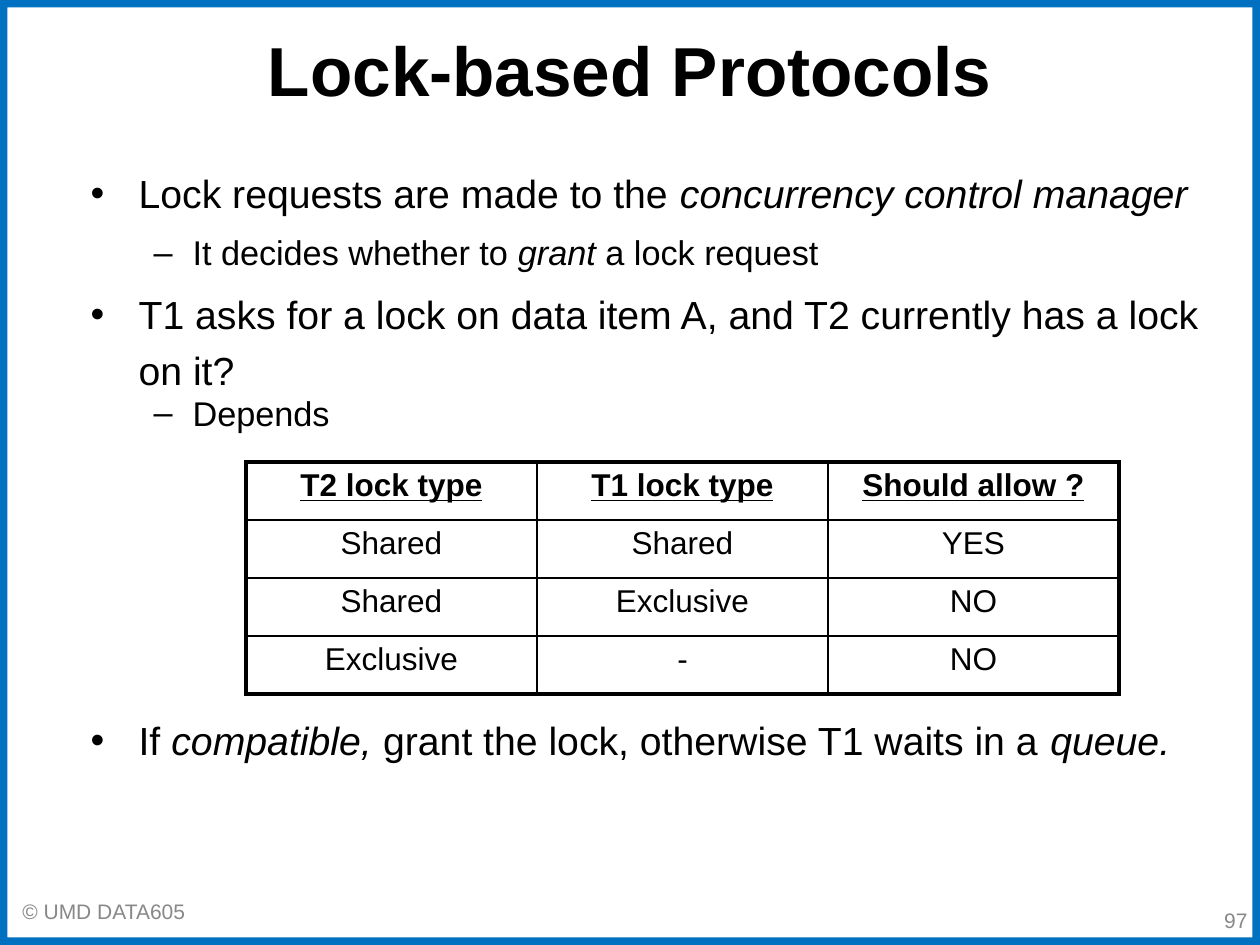
from lxml import etree
from pptx import Presentation
from pptx.dml.color import RGBColor
from pptx.enum.shapes import MSO_SHAPE
from pptx.enum.text import MSO_ANCHOR, MSO_AUTO_SIZE, PP_ALIGN
from pptx.oxml.ns import qn
from pptx.util import Emu, Pt

FRAME = MSO_SHAPE.FRAME
TOP, MID = MSO_ANCHOR.TOP, MSO_ANCHOR.MIDDLE
LEFT, MIDST, RIGHT = PP_ALIGN.LEFT, PP_ALIGN.CENTER, PP_ALIGN.RIGHT
FIXED = MSO_AUTO_SIZE.NONE
BLACK = RGBColor(0, 0, 0)
GRAY = RGBColor(0x88, 0x88, 0x88)
BLUE = RGBColor(0, 0x70, 0xC0)
SCALE = 914400 / 126
THIN, THICK = 1, 2.25
LEVELS = [
    {"size": 22.4, "mark": "•", "left": 48, "hang": 48},
    {"size": 19.6, "mark": "–", "left": 102, "hang": 39},
]
ITEMS = [
    (0, 1.2, 0, [("Lock requests are made to the ", False),
                 ("concurrency control manager", True)]),
    (1, 1.2, 3.9, [("It decides whether to ", False), ("grant ", True),
                   ("a lock request", False)]),
    (0, 1.2, 4.5, [("T1 asks for a lock on data item A, and T2 currently "
                    "has a lock on it?", False)]),
    (1, 0.8, 3.9, [("Depends", False)]),
    (0, 0.8, 167, [("If ", False), ("compatible, ", True),
                   ("grant the lock, otherwise T1 waits in a ", False),
                   ("queue.", True)]),
]
ROWS = [
    ["T2 lock type", "T1 lock type", "Should allow ?"],
    ["Shared", "Shared", "YES"],
    ["Shared", "Exclusive", "NO"],
    ["Exclusive", "-", "NO"],
]


def px(num):
    """Turn px into EMU."""
    return Emu(round(num * SCALE))


def apply(item, vals):
    """Set each named value on an object."""
    for name, val in vals.items():
        setattr(item, name, val)


def style(font, size, color, **more):
    """Format a font."""
    apply(font, {"name": "Arial", "size": Pt(size), **more})
    font.color.rgb = color


def place(shape, box):
    """Move and size a shape in px."""
    apply(shape, dict(zip(("left", "top", "width", "height"), map(px, box))))


def write(shape, text, align, size, color, **more):
    """Fill a shape with one line of text."""
    frame = shape.text_frame
    apply(frame, {"word_wrap": True, "auto_size": FIXED,
                  "vertical_anchor": MID})
    para = frame.paragraphs[0]
    para.text, para.alignment = text, align
    style(para.runs[0].font, size, color, **more)


def add_frame(slide, box):
    """Draw the border round the slide."""
    shape = slide.shapes.add_shape(FRAME, *map(px, box))
    shape.adjustments[0] = 0.008
    shape.shadow.inherit = False
    shape.fill.solid()
    shape.fill.fore_color.rgb = BLUE
    shape.line.fill.background()


def add_note(slide, box, text, align):
    """Add a small gray line of text."""
    shape = slide.shapes.add_textbox(*map(px, box))
    write(shape, text, align, 12, GRAY)


def set_mark(para, form):
    """Give a paragraph its bullet and indent."""
    props = para._p.get_or_add_pPr()
    props.set("marL", str(px(form["left"])))
    props.set("indent", str(-px(form["hang"])))
    tint = etree.SubElement(props, qn("a:buClr"))
    etree.SubElement(tint, qn("a:srgbClr"), val=str(BLACK))
    etree.SubElement(props, qn("a:buFont"), typeface="Arial")
    etree.SubElement(props, qn("a:buChar"), char=form["mark"])


def fill_list(shape, items):
    """Write the bullet list into the body."""
    frame = shape.text_frame
    apply(frame, {"word_wrap": True, "auto_size": FIXED,
                  "vertical_anchor": TOP})
    for num, (level, line, gap, runs) in enumerate(items):
        para = frame.add_paragraph() if num else frame.paragraphs[0]
        form = LEVELS[level]
        set_mark(para, form)
        apply(para, {"level": level, "alignment": LEFT, "line_spacing": line,
                     "space_before": Pt(gap), "space_after": Pt(0)})
        for text, slant in runs:
            run = para.add_run()
            run.text = text
            style(run.font, form["size"], BLACK, italic=slant)


def set_edges(cell, edges):
    """Draw the four borders of a cell."""
    props = cell._tc.get_or_add_tcPr()
    for num, (side, width) in enumerate(edges.items()):
        line = etree.Element(qn(f"a:ln{side}"), w=str(Pt(width)))
        fill = etree.SubElement(line, qn("a:solidFill"))
        etree.SubElement(fill, qn("a:srgbClr"), val=str(BLACK))
        props.insert(num, line)


def add_grid(slide, left, top, wide, high, rows):
    """Add the lock table with a thick outer border."""
    count, span = len(rows), len(rows[0])
    box = (left, top, wide * span, high * count)
    table = slide.shapes.add_table(count, span, *map(px, box)).table
    apply(table, {"first_row": False, "horz_banding": False})
    for col in table.columns:
        col.width = px(wide)
    for r, row in enumerate(rows):
        table.rows[r].height = px(high)
        for c, text in enumerate(row):
            cell = table.cell(r, c)
            cell.fill.background()
            para = cell.text_frame.paragraphs[0]
            para.text, para.alignment = text, MIDST
            style(para.runs[0].font, 18, BLACK, bold=r == 0, underline=r == 0)
            outer = {"L": c == 0, "R": c == span - 1,
                     "T": r == 0, "B": r == count - 1}
            set_edges(cell, {side: THICK if edge else THIN
                             for side, edge in outer.items()})


def main():
    """Build the slide and save it."""
    deck = Presentation()
    deck.slide_width, deck.slide_height = px(1260), px(945)
    slide = deck.slides.add_slide(deck.slide_layouts[1])
    add_frame(slide, (0, 0, 1260, 945))
    title, body = slide.placeholders
    place(title, (21, 21, 1218, 95))
    write(title, "Lock-based Protocols", MIDST, 39.6, BLACK, bold=True)
    place(body, (78, 154, 1182, 672))
    fill_list(body, ITEMS)
    add_grid(slide, 246, 462, 291, 58, ROWS)
    add_note(slide, (10, 886, 413, 50), "© UMD DATA605", LEFT)
    add_note(slide, (966, 895, 294, 50), "97", RIGHT)
    deck.save("out.pptx")


if __name__ == "__main__":
    main()
